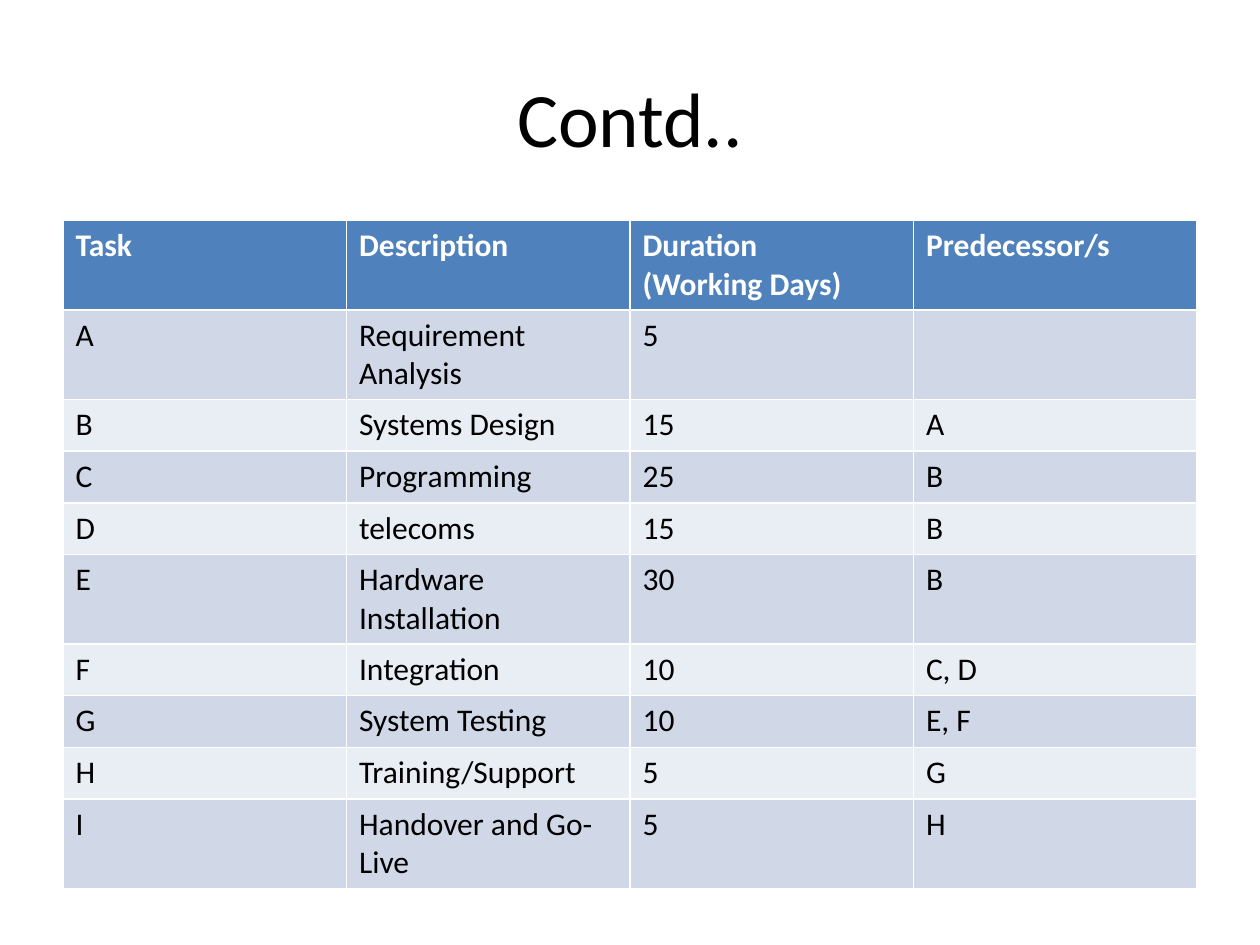
"""Build a slide with a project task table: durations and predecessors."""
from dataclasses import dataclass

from pptx import Presentation
from pptx import util as u
from pptx.dml.color import RGBColor
from pptx.enum import text

TITLE = "Contd.."
HEADER = ("Task", "Description", "Duration\n(Working Days)", "Predecessor/s")
TASKS = [
    ("A", "Requirement Analysis", "5", ""),
    ("B", "Systems Design", "15", "A"),
    ("C", "Programming", "25", "B"),
    ("D", "telecoms", "15", "B"),
    ("E", "Hardware Installation", "30", "B"),
    ("F", "Integration", "10", "C, D"),
    ("G", "System Testing", "10", "E, F"),
    ("H", "Training/Support", "5", "G"),
    ("I", "Handover and Go-Live", "5", "H"),
]


@dataclass(frozen=True)
class Theme:
    font: str = "Calibri"
    title_size: int = 44
    table_size: int = 18
    dark: str = "000000"
    light: str = "FFFFFF"
    header: str = "4F81BD"
    bands: tuple = ("D0D8E8", "E9EDF4")


THEME = Theme()
WIDTH, HEIGHT = u.Inches(10), u.Inches(7.5)
MARGIN = int(WIDTH * 0.05)
CONTENT_WIDTH = WIDTH - 2 * MARGIN
TITLE_TOP, TITLE_HEIGHT = int(HEIGHT * 0.04), u.Inches(1.25)
TABLE_TOP, TABLE_HEIGHT = u.Inches(1.75), u.Inches(5.23)
ROW_HEIGHT = u.Inches(0.41)


def style_font(font, size, color, bold=False):
    font.name = THEME.font
    font.size = u.Pt(size)
    font.bold = bold
    font.color.rgb = RGBColor.from_string(color)


def add_title(slide):
    title = slide.shapes.title
    title.left, title.top = MARGIN, TITLE_TOP
    title.width, title.height = CONTENT_WIDTH, TITLE_HEIGHT
    title.text_frame.text = TITLE
    title.text_frame.vertical_anchor = text.MSO_ANCHOR.MIDDLE
    paragraph = title.text_frame.paragraphs[0]
    paragraph.alignment = text.PP_ALIGN.CENTER
    style_font(paragraph.font, THEME.title_size, THEME.dark)


def fill_cell(cell, wording, fill, color, bold):
    cell.fill.solid()
    cell.fill.fore_color.rgb = RGBColor.from_string(fill)
    cell.text_frame.text = wording
    for paragraph in cell.text_frame.paragraphs:
        style_font(paragraph.font, THEME.table_size, color, bold)


def add_task_table(slide):
    records = [HEADER, *TASKS]
    frame = slide.shapes.add_table(
        len(records), len(HEADER), MARGIN, TABLE_TOP, CONTENT_WIDTH, TABLE_HEIGHT
    )
    for index, (row, record) in enumerate(zip(frame.table.rows, records)):
        row.height = ROW_HEIGHT
        is_header = index == 0
        fill = THEME.header if is_header else THEME.bands[(index - 1) % 2]
        color = THEME.light if is_header else THEME.dark
        for cell, wording in zip(row.cells, record):
            fill_cell(cell, wording, fill, color, is_header)
    frame.height = TABLE_HEIGHT


def main():
    presentation = Presentation()
    presentation.slide_width, presentation.slide_height = WIDTH, HEIGHT
    slide = presentation.slides.add_slide(
        presentation.slide_layouts.get_by_name("Title Only")
    )
    add_title(slide)
    add_task_table(slide)
    presentation.save("out.pptx")


if __name__ == "__main__":
    main()
